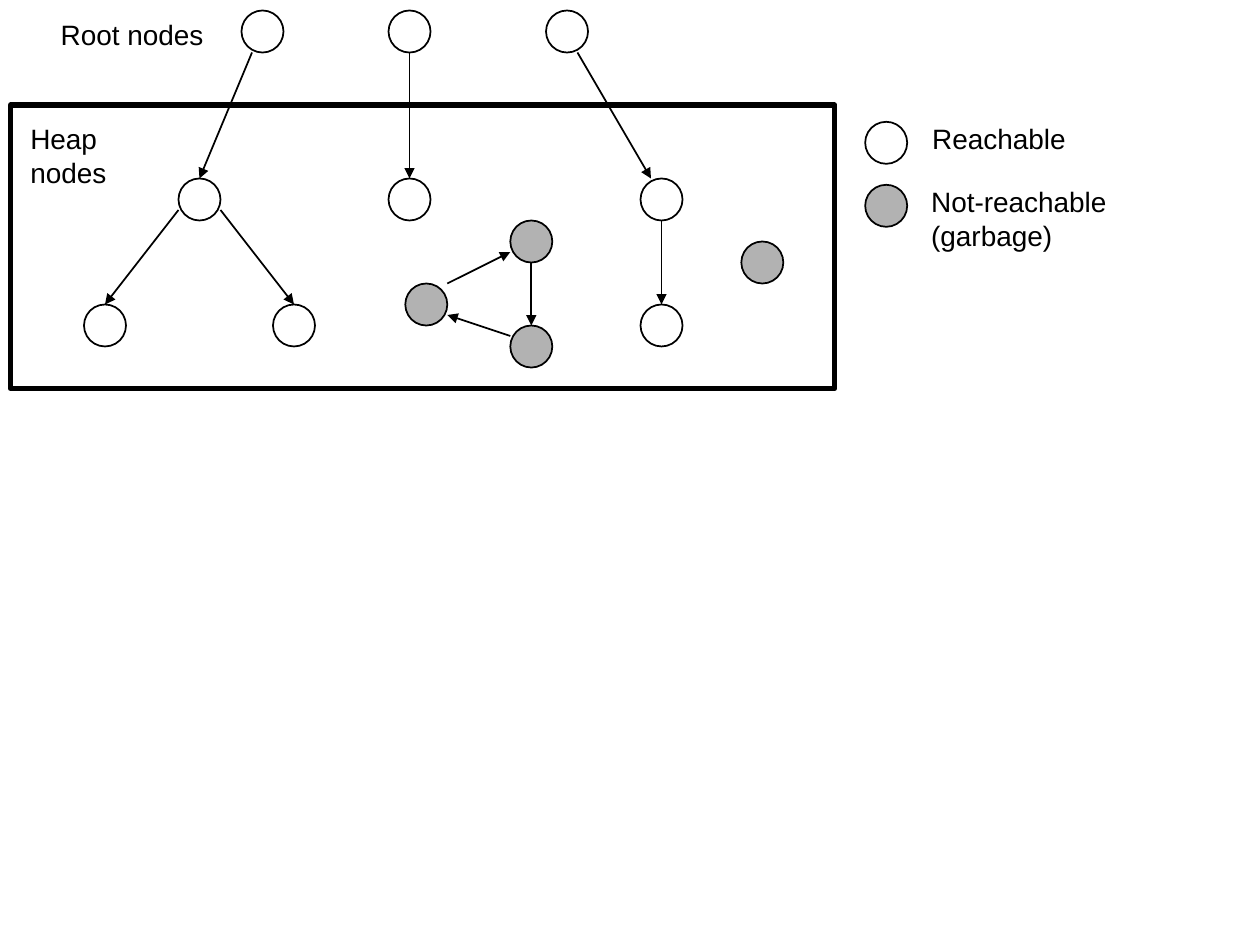
from lxml import etree
from pptx import Presentation
from pptx import util as u
from pptx.dml.color import RGBColor
from pptx.enum import shapes, text
from pptx.oxml.ns import qn

BLACK = RGBColor(0, 0, 0)
REACHABLE = RGBColor(0xFF, 0xFF, 0xFF)
GARBAGE = RGBColor(0xB2, 0xB2, 0xB2)
FONT = "Arial"

UNIT = u.Inches(1) / 12  # grid step
NODE = 4                 # node diameter in grid steps
TOP = (2, 0)
BOTTOM = (2, 4)

# name: (column, row, colour)
NODES = {
    "root a": (23, 1, REACHABLE),
    "root b": (37, 1, REACHABLE),
    "root c": (52, 1, REACHABLE),
    "heap a": (17, 17, REACHABLE),
    "heap b": (37, 17, REACHABLE),
    "heap c": (61, 17, REACHABLE),
    "leaf a1": (8, 29, REACHABLE),
    "leaf a2": (26, 29, REACHABLE),
    "leaf c": (61, 29, REACHABLE),
    "cycle top": (48.6, 21, GARBAGE),
    "cycle bottom": (48.6, 31, GARBAGE),
    "cycle left": (38.6, 27, GARBAGE),
    "orphan": (70.6, 23, GARBAGE),
    "key reachable": (82.4, 11.6, REACHABLE),
    "key garbage": (82.4, 17.6, GARBAGE),
}

# from node, offset inside it, to node, offset inside it
POINTERS = [
    ("root a", (1, 4), "heap a", TOP),
    ("root b", BOTTOM, "heap b", TOP),
    ("root c", (3, 4), "heap c", (1, 0)),
    ("heap a", (0, 3), "leaf a1", TOP),
    ("heap a", (4, 3), "leaf a2", TOP),
    ("heap c", BOTTOM, "leaf c", TOP),
    ("cycle top", BOTTOM, "cycle bottom", TOP),
    ("cycle bottom", (0, 1), "cycle left", (4, 3)),
    ("cycle left", (4, 0), "cycle top", (0, 3)),
]

# column, row, width, height, lines
LABELS = [
    (4.6, 1.1, 16, 4.4, ["Root nodes"]),
    (1.7, 11, 16.7, 4.4, ["Heap nodes"]),
    (87.6, 11, 15.1, 4.4, ["Reachable"]),
    (87.5, 17, 19.1, 7.7, ["Not-reachable", "(garbage)"]),
]


def grid(*steps):
    return [round(n * UNIT) for n in steps]


def add_outlined(s, kind, box, width):
    sp = s.shapes.add_shape(kind, *grid(*box))
    sp.shadow.inherit = False
    sp.fill.background()
    sp.line.color.rgb = BLACK
    sp.line.width = u.Pt(width)
    return sp


def add_node(s, col, row, color):
    sp = add_outlined(s, shapes.MSO_SHAPE.OVAL, (col, row, NODE, NODE), 1)
    sp.fill.solid()
    sp.fill.fore_color.rgb = color
    return sp


def add_pointer(s, nodes, source, start, target, end):
    """Arrow between two nodes, glued where it meets the top of its target."""
    x1, y1 = (a + b for a, b in zip(NODES[source], start))
    x2, y2 = (a + b for a, b in zip(NODES[target], end))
    c = s.shapes.add_connector(shapes.MSO_CONNECTOR.STRAIGHT, *grid(x1, y1, x2, y2))
    if end == TOP:
        c.end_connect(nodes[target], 0)
    c.line.color.rgb = BLACK
    c.line.width = u.Pt(1)
    etree.SubElement(c.line._get_or_add_ln(), qn("a:tailEnd"), type="triangle")
    etree.SubElement(c._element.spPr, qn("a:effectLst"))


def add_label(s, col, row, width, height, lines):
    tf = s.shapes.add_textbox(*grid(col, row, width, height)).text_frame
    tf.word_wrap = False
    tf.auto_size = text.MSO_AUTO_SIZE.SHAPE_TO_FIT_TEXT
    p = tf.paragraphs[0]
    for i, line in enumerate(lines):
        if i:
            p.add_line_break()
        r = p.add_run()
        r.text = line
        r.font.name = FONT
        r.font.size = u.Pt(16)
        r.font.color.rgb = BLACK


def main():
    prs = Presentation()
    prs.slide_width, prs.slide_height = u.Inches(10), u.Inches(7.5)
    s = prs.slides.add_slide(prs.slide_layouts[6])
    add_outlined(s, shapes.MSO_SHAPE.RECTANGLE, (1, 10, 78.5, 27), 3)
    nodes = {name: add_node(s, *node) for name, node in NODES.items()}
    for pointer in POINTERS:
        add_pointer(s, nodes, *pointer)
    for label in LABELS:
        add_label(s, *label)
    prs.save("out.pptx")


if __name__ == "__main__":
    main()
